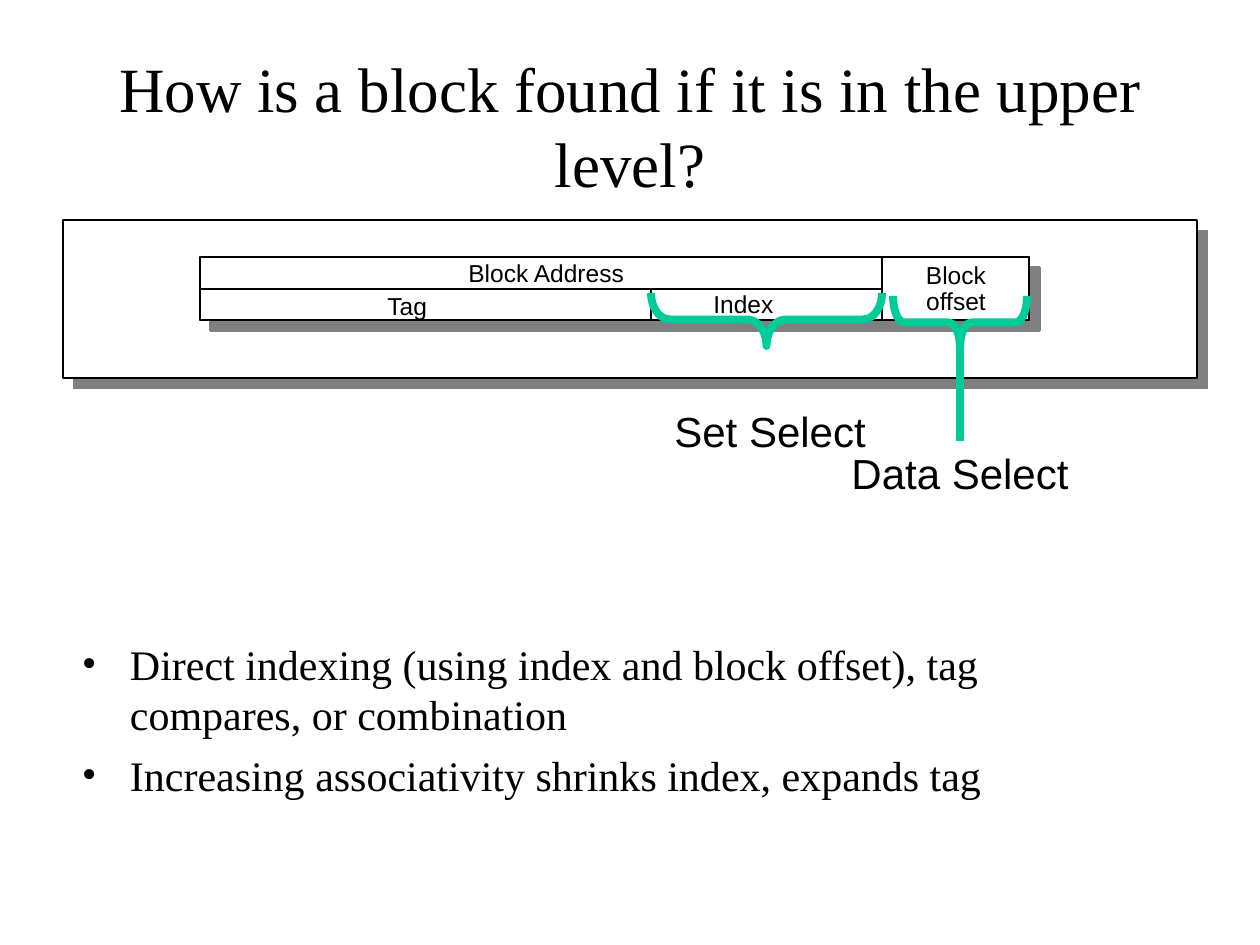
from lxml import etree
from pptx import Presentation
from pptx.dml.color import RGBColor
from pptx.enum.shapes import MSO_CONNECTOR, MSO_SHAPE
from pptx.enum.text import MSO_ANCHOR, MSO_AUTO_SIZE, PP_ALIGN
from pptx.oxml.ns import qn
from pptx.util import Emu, Pt

STRAIGHT = MSO_CONNECTOR.STRAIGHT
RECTANGLE, BRACE = MSO_SHAPE.RECTANGLE, MSO_SHAPE.RIGHT_BRACE
MIDDLE, TOP = MSO_ANCHOR.MIDDLE, MSO_ANCHOR.TOP
GROW = MSO_AUTO_SIZE.SHAPE_TO_FIT_TEXT
LEFT, CENTER = PP_ALIGN.LEFT, PP_ALIGN.CENTER
BLACK = RGBColor(0x00, 0x00, 0x00)
WHITE = RGBColor(0xFF, 0xFF, 0xFF)
GREEN = RGBColor(0x00, 0xCC, 0x99)
SHADOW_GRAY = RGBColor(0x80, 0x80, 0x80)
SERIF, SANS = "Times New Roman", "Arial"
TOP_SIDE = 0
BRACE_DEPTH = 53

TITLE = "How is a block found if it is in the upper level?"
BULLETS = [
    "Direct indexing (using index and block offset), tag compares, or combination",
    "Increasing associativity shrinks index, expands tag",
]
# Edges of the address fields: left, top, right, bottom
PANEL = (63, 220, 1197, 378)
ADDRESS = (200, 257, 1029, 320)
FIELDS = [(200, 289, 882, 320), (651, 289, 882, 320), (882, 257, 1029, 320)]
# Lines, left, top, width, height, size, alignment
FIELD_LABELS = [
    (["Block", "offset"], 910, 257, 92, 66, 14, CENTER),
    (["Block Address"], 456, 252, 184, 43, 14, LEFT),
    (["Tag"], 375, 285, 70, 43, 14, LEFT),
    (["Index"], 701, 283, 92, 43, 14, LEFT),
]
SET_SELECT = (["Set Select"], 662, 399, 220, 63, 24, LEFT)
DATA_SELECT = (["Data Select"], 838, 441, 244, 63, 24, CENTER)
# Left, right, top
BRACES = [(651, 882, 293), (893, 1027, 296)]


def px(value):
    return Emu(round(value * 914400 / 126))


def set_font(para, name, size):
    para.font.name, para.font.size = name, Pt(size)
    para.font.color.rgb = BLACK


def add_rectangle(edges, width=1, fill=None, shadow=False):
    left, top, right, bottom = edges
    box = slide.shapes.add_shape(
        RECTANGLE, px(left), px(top), px(right - left), px(bottom - top))
    if fill is None:
        box.fill.background()
    else:
        box.fill.solid()
        box.fill.fore_color.rgb = fill
    box.line.color.rgb, box.line.width = BLACK, Pt(width)
    box.shadow.inherit = False
    if shadow:
        effects = box._element.spPr.find(qn("a:effectLst"))
        outer = etree.SubElement(effects, qn("a:outerShdw"), dist=str(Pt(8.5)),
                                 dir="2700000", algn="ctr", rotWithShape="0")
        etree.SubElement(outer, qn("a:srgbClr"), val=str(SHADOW_GRAY))


def add_label(lines, left, top, width, height, size, alignment):
    box = slide.shapes.add_textbox(px(left), px(top), px(width), px(height))
    frame = box.text_frame
    frame.word_wrap, frame.auto_size = False, GROW
    frame.text = "\n".join(lines)
    for para in frame.paragraphs:
        para.alignment = alignment
        if len(lines) > 1:
            para.line_spacing = 0.9
        set_font(para, SANS, size)
    return box


def add_brace(left, right, top):
    """Turn a right brace by 90 degrees so that it points down."""
    length = right - left
    brace = slide.shapes.add_shape(
        BRACE, px((left + right - BRACE_DEPTH) / 2),
        px(top + (BRACE_DEPTH - length) / 2), px(BRACE_DEPTH), px(length))
    brace.rotation = 90
    brace.adjustments[0] = round(length / 12 / BRACE_DEPTH, 2)
    brace.fill.background()
    brace.line.color.rgb, brace.line.width = GREEN, Pt(4.5)
    brace.shadow.inherit = False


deck = Presentation()
deck.slide_width, deck.slide_height = px(1260), px(945)
slide = deck.slides.add_slide(deck.slide_layouts[5])

title = slide.shapes.title
title.left, title.top, title.width, title.height = px(94), px(46), px(1072), px(158)
title.text_frame.text = TITLE
title.text_frame.vertical_anchor = MIDDLE
title_para = title.text_frame.paragraphs[0]
title_para.alignment = CENTER
set_font(title_para, SERIF, 36)

body = slide.shapes.add_textbox(px(73), px(634), px(1081), px(170))
frame = body.text_frame
frame.word_wrap, frame.vertical_anchor = True, TOP
frame.margin_left = frame.margin_right = px(9)
frame.margin_top = frame.margin_bottom = px(4)
frame.text = "\n".join(BULLETS)
for number, para in enumerate(frame.paragraphs):
    properties = para._p.get_or_add_pPr()
    properties.set("marL", str(px(48)))
    properties.set("indent", str(px(-48)))
    etree.SubElement(properties, qn("a:buFont"), typeface=SERIF)
    etree.SubElement(properties, qn("a:buChar"), char="•")
    para.space_before = Pt(6 if number else 0)
    set_font(para, SERIF, 24)

add_rectangle(PANEL, fill=WHITE, shadow=True)
add_rectangle(ADDRESS, width=1.5, fill=WHITE, shadow=True)
for field in FIELDS:
    add_rectangle(field)
for label in FIELD_LABELS:
    add_label(*label)
for brace_place in BRACES:
    add_brace(*brace_place)
add_label(*SET_SELECT)
data_select = add_label(*DATA_SELECT)

pointer = slide.shapes.add_connector(STRAIGHT, px(960), px(348), px(960), px(441))
pointer.end_connect(data_select, TOP_SIDE)
pointer.line.color.rgb, pointer.line.width = GREEN, Pt(4.5)
etree.SubElement(pointer._element.spPr, qn("a:effectLst"))

deck.save("out.pptx")
